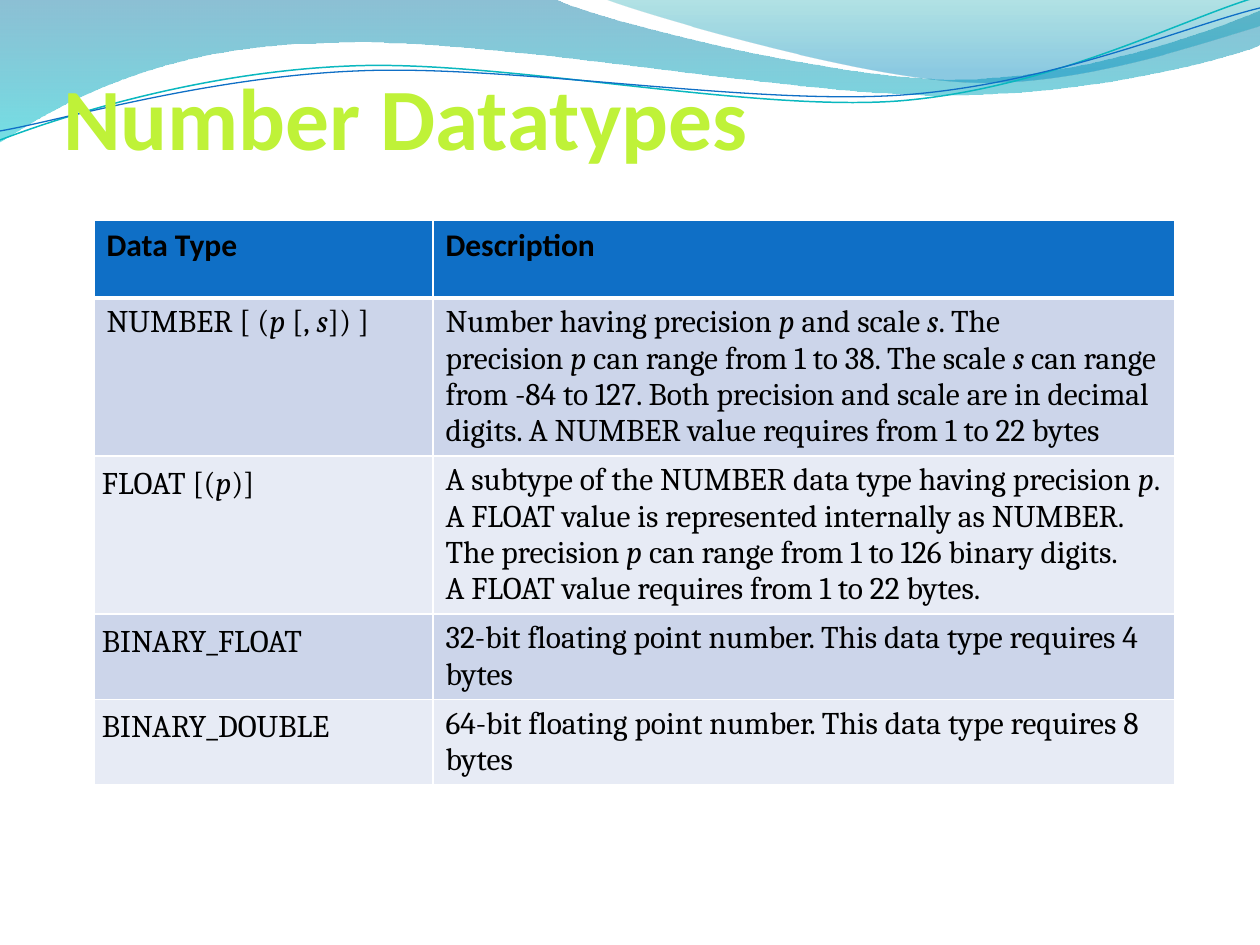
"""Build the Number Datatypes slide: a wave banner, a title and a table."""
from lxml import etree
from pptx import Presentation
from pptx import util as u
from pptx.dml.color import RGBColor
from pptx.enum import text
from pptx.oxml.ns import qn

PX = 914400 / 126
HARD_SPACE = chr(160)


def px(n):
    return u.Emu(round(n * PX))


def rgb(color):
    return RGBColor.from_string(color)


prs = Presentation()
prs.slide_width, prs.slide_height = px(1260), px(945)
s = prs.slides.add_slide(prs.slide_layouts[5])

waves = [
    {"start": (0, 0),
     "segments": [[(554, -1)],
                  [(600, 21), (837, 79), (955, 79)],
                  [(1075, 79), (1207, 33), (1260, 11)],
                  [(1261, 45)],
                  [(1239, 55), (1096, 96), (940, 95)],
                  [(784, 95), (481, 35), (324, 43)],
                  [(161, 45), (58, 105), (-1, 142)],
                  [(0, 0)]],
     "stops": [(0, "0074A1", 45), (1, "00C6CF", 55)]},
    {"start": (604, -1),
     "segments": [[(641, 14), (859, 78), (969, 82)],
                  [(1079, 87), (1211, 40), (1260, 26)],
                  [(1260, 0)],
                  [(604, -1)]],
     "stops": [(0, "00A1A9", 30), (0.8, "008BBF", 45)]},
    {"start": (0, 140),
     "segments": [[(60, 117), (199, 72), (349, 66)],
                  [(498, 59), (747, 112), (898, 101)],
                  [(1050, 89), (1182, 19), (1257, -3)]],
     "line": ("0AB8BF", 0.85)},
    {"start": (0, 131),
     "segments": [[(59, 121), (207, 77), (357, 71)],
                  [(508, 64), (752, 106), (903, 95)],
                  [(1053, 84), (1186, 26), (1260, 8)]],
     "line": ("0F6FC6", 0.75)},
]
for wave in waves:
    points = [(px(x), px(y)) for segment in wave["segments"] for x, y in segment]
    builder = s.shapes.build_freeform(*(px(n) for n in wave["start"]))
    builder.add_line_segments(points, close="stops" in wave)
    sp = builder.convert_to_shape()
    sp.shadow.inherit = False
    lines = iter(list(sp._element.iter(qn("a:lnTo"))))
    for segment in wave["segments"]:
        first, *others = [next(lines) for _ in segment]
        if others:
            curve = etree.Element(qn("a:cubicBezTo"))
            first.addprevious(curve)
            for line in (first, *others):
                curve.append(line[0])
                line.getparent().remove(line)
    if "line" in wave:
        color, width = wave["line"]
        sp.fill.background()
        sp.line.color.rgb = rgb(color)
        sp.line.width = u.Pt(width)
        continue
    sp.line.fill.background()
    sp.fill.gradient()
    sp.fill.gradient_angle = 270
    for stop, (position, color, alpha) in zip(sp.fill.gradient_stops, wave["stops"]):
        stop.position = position
        stop.color.rgb = rgb(color)
    for clr, (_, _, alpha) in zip(sp._element.iter(qn("a:srgbClr")), wave["stops"]):
        etree.SubElement(clr, qn("a:alpha"), val=str(alpha * 1000))

title = s.shapes.title
s.shapes._spTree.append(title._element)
title.left, title.top, title.width, title.height = px(63), px(38), px(1134), px(130)
tf = title.text_frame
tf.text = "Number Datatypes"
tf.auto_size = text.MSO_AUTO_SIZE.NONE
tf.vertical_anchor = text.MSO_ANCHOR.BOTTOM
tf.margin_left = tf.margin_right = tf.margin_bottom = 0
tf.margin_top = px(6)
p = tf.paragraphs[0]
p.alignment = text.PP_ALIGN.LEFT
font = p.runs[0].font
font.name, font.size, font.bold = "Calibri", u.Pt(50), True
font.color.rgb = rgb("BFF238")

rows = [
    ("Data Type", "Description"),
    ("NUMBER~[ (*p*~[,~*s*]) ]",
     "Number having precision~*p*~and scale~*s*. The precision~*p*~can range from 1 to 38. "
     "The scale~*s*~can range from -84 to 127. Both precision and scale are in decimal "
     "digits. A~NUMBER~value requires from 1 to 22 bytes"),
    ("FLOAT~[(*p*)]",
     "A subtype of the~NUMBER~data type having precision~*p*. A~FLOAT~value is represented "
     "internally as~NUMBER. The precision~*p*~can range from 1 to 126 binary digits. "
     "A~FLOAT~value requires from 1 to 22 bytes."),
    ("BINARY_FLOAT", "32-bit floating point number. This data type requires 4 bytes"),
    ("BINARY_DOUBLE", "64-bit floating point number. This data type requires 8 bytes"),
]
table = s.shapes.add_table(len(rows), 2, px(94), px(220), px(1081), px(390)).table
table.columns[0].width, table.columns[1].width = px(339), px(742)
for i, row in enumerate(rows):
    table.rows[i].height = px(78)
    for j, content in enumerate(row):
        cell = table.cell(i, j)
        borders = {"L": 1, "R": 1, "T": 3 if i == 1 else 1, "B": 3 if i == 0 else 1}
        for side, width in borders.items():
            ln = etree.SubElement(cell._tc.get_or_add_tcPr(), qn("a:ln" + side),
                                  w=str(u.Pt(width)))
            fill = etree.SubElement(ln, qn("a:solidFill"))
            etree.SubElement(fill, qn("a:srgbClr"), val="FFFFFF")
        cell.fill.solid()
        cell.fill.fore_color.rgb = rgb("0F6FC6" if i == 0 else ("E7EBF5", "CCD5EA")[i % 2])
        if i > 1 and j == 0:
            cell.margin_left = cell.margin_right = px(8)
            cell.margin_top = cell.margin_bottom = px(10)
        p = cell.text_frame.paragraphs[0]
        for k, piece in enumerate(content.replace("~", HARD_SPACE).split("*")):
            r = p.add_run()
            r.text = piece
            r.font.name = "Cambria" if i else "Calibri"
            r.font.size = u.Pt(18)
            r.font.bold = i == 0
            r.font.italic = k % 2 == 1
            r.font.color.rgb = rgb("000000")

prs.save("out.pptx")
